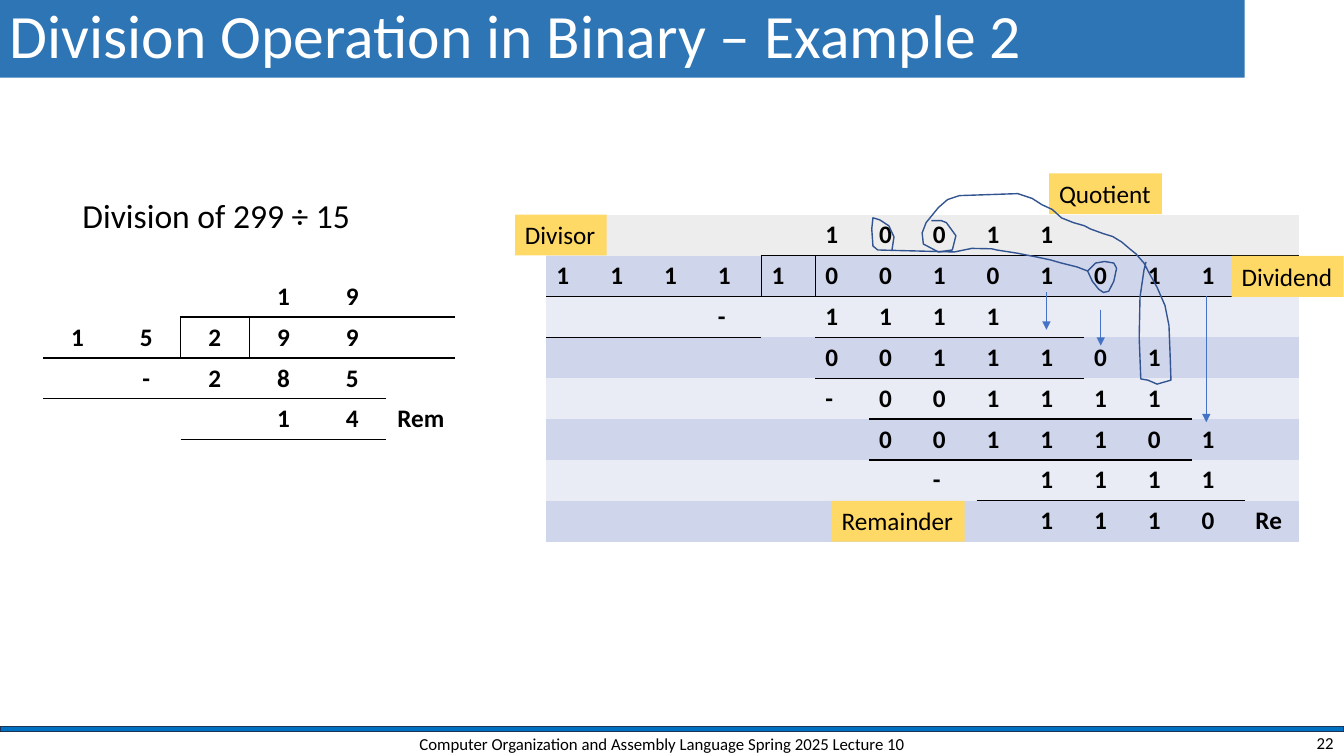
from lxml import etree
from pptx import Presentation
from pptx import util as u
from pptx.dml.color import RGBColor
from pptx.enum import shapes, text
from pptx.oxml.ns import qn

FONT = "Calibri"
NO_STYLE = "{2D5ABB26-0587-4C30-8999-92F81FD0307C}"
LEFT, CENTER, RIGHT = text.PP_ALIGN.LEFT, text.PP_ALIGN.CENTER, text.PP_ALIGN.RIGHT

# Cells are separated by spaces, "." is an empty cell.
# h_rules: (row edge, first column, last column); corner: (row, column edge)
BINARY = {
    "rows": [
        ". . . . . 1 0 0 1 1 . . . .",
        "1 1 1 1 1 0 0 1 0 1 0 1 1 .",
        ". . . - . 1 1 1 1 . . . . .",
        ". . . . . 0 0 1 1 1 0 1 . .",
        ". . . . . - 0 0 1 1 1 1 . .",
        ". . . . . . 0 0 1 1 1 0 1 .",
        ". . . . . . . - . 1 1 1 1 .",
        ". . . . . . . . . 1 1 1 0 Re",
    ],
    "h_rules": [(1, 4, 13), (2, 0, 3), (3, 5, 9), (5, 6, 11), (7, 8, 12)],
    "corner": (1, 4),
    "fills": ["EDEDED"] + ["CFD5EA", "E9EBF5"] * 3 + ["CFD5EA"],
    "at": (13.77, 5.41), "cell": (1.355, 1.03), "align": LEFT,
}
DECIMAL = {
    "rows": [
        ". . . 1 9 .",
        "1 5 2 9 9 .",
        ". - 2 8 5 .",
        ". . . 1 4 Rem",
        ". . . . . .",
    ],
    "h_rules": [(1, 2, 5), (2, 0, 1), (3, 2, 4)],
    "corner": (1, 2),
    "fills": [None] * 5,
    "at": (1.09, 6.96), "cell": (1.73, 1.03), "align": CENTER,
}
LABELS = [
    ("Divisor", 12.98, 5.41, 2.31),
    ("Quotient", 26.44, 4.37, 2.84),
    ("Dividend", 31.04, 6.45, 2.82),
    ("Remainder", 20.96, 12.62, 3.35),
]
# Hand-drawn outlines, in hundredths of a centimetre
ZERO_TO_DIVIDEND = [
    (2741, 683), (2753, 709), (2769, 729), (2781, 737), (2794, 734), (2807, 709),
    (2814, 676), (2807, 663), (2784, 659), (2761, 663), (2741, 683), (2715, 673),
    (2675, 663), (2647, 655), (2614, 648), (2563, 638), (2512, 630), (2499, 627),
    (2449, 626), (2405, 635), (2212, 630), (2200, 620), (2197, 577), (2200, 549),
    (2217, 554), (2240, 569), (2253, 597), (2248, 630),
]
ZERO_TO_ONES = [
    (2888, 660), (2883, 681), (2873, 749), (2871, 851), (2875, 955), (2893, 958),
    (2916, 968), (2951, 958), (2949, 897), (2946, 820), (2936, 770), (2916, 724),
    (2896, 688), (2883, 663), (2863, 640), (2847, 627), (2827, 610), (2804, 596),
    (2781, 589), (2748, 577), (2733, 569), (2705, 561), (2675, 549), (2652, 528),
    (2626, 516), (2601, 500), (2565, 488), (2418, 493), (2388, 503), (2365, 523),
    (2334, 561), (2324, 587), (2327, 615), (2365, 635), (2400, 630), (2409, 594),
    (2385, 561), (2372, 556), (2347, 556),
]
BRING_DOWN = [(26.37, 7.37, 8.31), (27.74, 7.8, 8.71), (30.4, 7.47, 10.64)]  # x, top, bottom


def paint(color_format, hex_color):
    color_format.rgb = RGBColor.from_string(hex_color)


def write(tf, words, size, color="000000", align=LEFT, bold=False):
    tf.text = words
    p = tf.paragraphs[0]
    p.alignment = align
    for r in p.runs:
        r.font.name, r.font.size, r.font.bold = FONT, u.Pt(size), bold
        paint(r.font.color, color)


def add_box(s, at, fill=None, line=None):
    sp = s.shapes.add_shape(shapes.MSO_SHAPE.RECTANGLE, *map(u.Cm, at))
    sp.shadow.inherit = False
    if fill:
        sp.fill.solid()
        paint(sp.fill.fore_color, fill)
    else:
        sp.fill.background()
    if line:
        sp.line.width = u.Pt(1)
        paint(sp.line.color, line)
    else:
        sp.line.fill.background()
    return sp


def add_text(s, words, at, size, fill=None, wrap=True, anchor=text.MSO_ANCHOR.MIDDLE, **style):
    tf = add_box(s, at, fill).text_frame
    tf.word_wrap = wrap
    tf.vertical_anchor = anchor
    write(tf, words, size, **style)
    return tf


def add_border(cell, side):
    ln = etree.SubElement(cell._tc.get_or_add_tcPr(), qn("a:ln" + side), w=str(u.Pt(1)))
    fill = etree.SubElement(ln, qn("a:solidFill"))
    etree.SubElement(fill, qn("a:srgbClr"), val="000000")


def sides_of(row, col, h_rules, corner):
    """Sides of a cell that carry a rule, in the order the file format asks for."""
    above = {edge for edge, first, last in h_rules if first <= col <= last}
    ruled = {"L": (row, col) == corner, "R": (row, col + 1) == corner,
             "T": row in above, "B": row + 1 in above}
    return [side for side, on in ruled.items() if on]


def add_division(s, rows, h_rules, corner, fills, at, cell, align):
    grid = [row.split() for row in rows]
    n_rows, n_cols = len(grid), len(grid[0])
    width, height = map(u.Cm, cell)
    table = s.shapes.add_table(n_rows, n_cols, *map(u.Cm, at),
                               width * n_cols, height * n_rows).table
    table._tbl.tblPr.find(qn("a:tableStyleId")).text = NO_STYLE
    for col in table.columns:
        col.width = width
    for i, values in enumerate(grid):
        table.rows[i].height = height
        for j, value in enumerate(values):
            c = table.cell(i, j)
            for side in sides_of(i, j, h_rules, corner):
                add_border(c, side)
            if fills[i]:
                c.fill.solid()
                paint(c.fill.fore_color, fills[i])
            else:
                c.fill.background()
            if value != ".":
                write(c.text_frame, value, 18, align=align, bold=True)


def add_sketch(s, points):
    builder = s.shapes.build_freeform(*points[0], scale=u.Cm(0.01))
    builder.add_line_segments(points[1:], close=False)
    sp = builder.convert_to_shape()
    sp.shadow.inherit = False
    sp.fill.background()
    sp.line.width = u.Pt(1)
    paint(sp.line.color, "325491")


def add_arrow(s, x, top, bottom):
    c = s.shapes.add_connector(shapes.MSO_CONNECTOR.STRAIGHT, *map(u.Cm, (x, top, x, bottom)))
    c.line.width = u.Pt(0.5)
    paint(c.line.color, "4472C4")
    etree.SubElement(c.line._get_or_add_ln(), qn("a:tailEnd"), type="triangle")
    etree.SubElement(c._element.spPr, qn("a:effectLst"))


def main():
    prs = Presentation()
    prs.slide_width, prs.slide_height = u.Cm(33.87), u.Cm(19.05)
    s = prs.slides.add_slide(prs.slide_layouts[6])

    add_box(s, (0, 18.31, 33.87, 0.13), "0070C0", "1E3256")
    tf = add_text(s, "Division Operation in Binary – Example 2", (0, 0, 31.37, 1.96), 44,
                  fill="2E75B6", color="FFFFFF")
    tf.paragraphs[0].line_spacing = 0.9

    add_division(s, **BINARY)
    add_division(s, **DECIMAL)
    add_text(s, "Division of 299 ÷ 15", (1.83, 4.78, 7.32, 1.27), 24, wrap=False,
             anchor=text.MSO_ANCHOR.TOP)
    for words, left, top, width in LABELS:
        add_text(s, words, (left, top, width, 1.03), 18, fill="FFD966", wrap=False,
                 anchor=text.MSO_ANCHOR.TOP)

    for points in (ZERO_TO_DIVIDEND, ZERO_TO_ONES):
        add_sketch(s, points)
    for arrow in BRING_DOWN:
        add_arrow(s, *arrow)

    add_text(s, "22", (26.24, 18.39, 7.62, 0.64), 12, align=RIGHT)
    add_text(s, "Computer Organization and Assembly Language Spring 2025 Lecture 10",
             (9.96, 18.39, 13.46, 0.71), 12, align=CENTER)
    prs.save("out.pptx")


if __name__ == "__main__":
    main()
